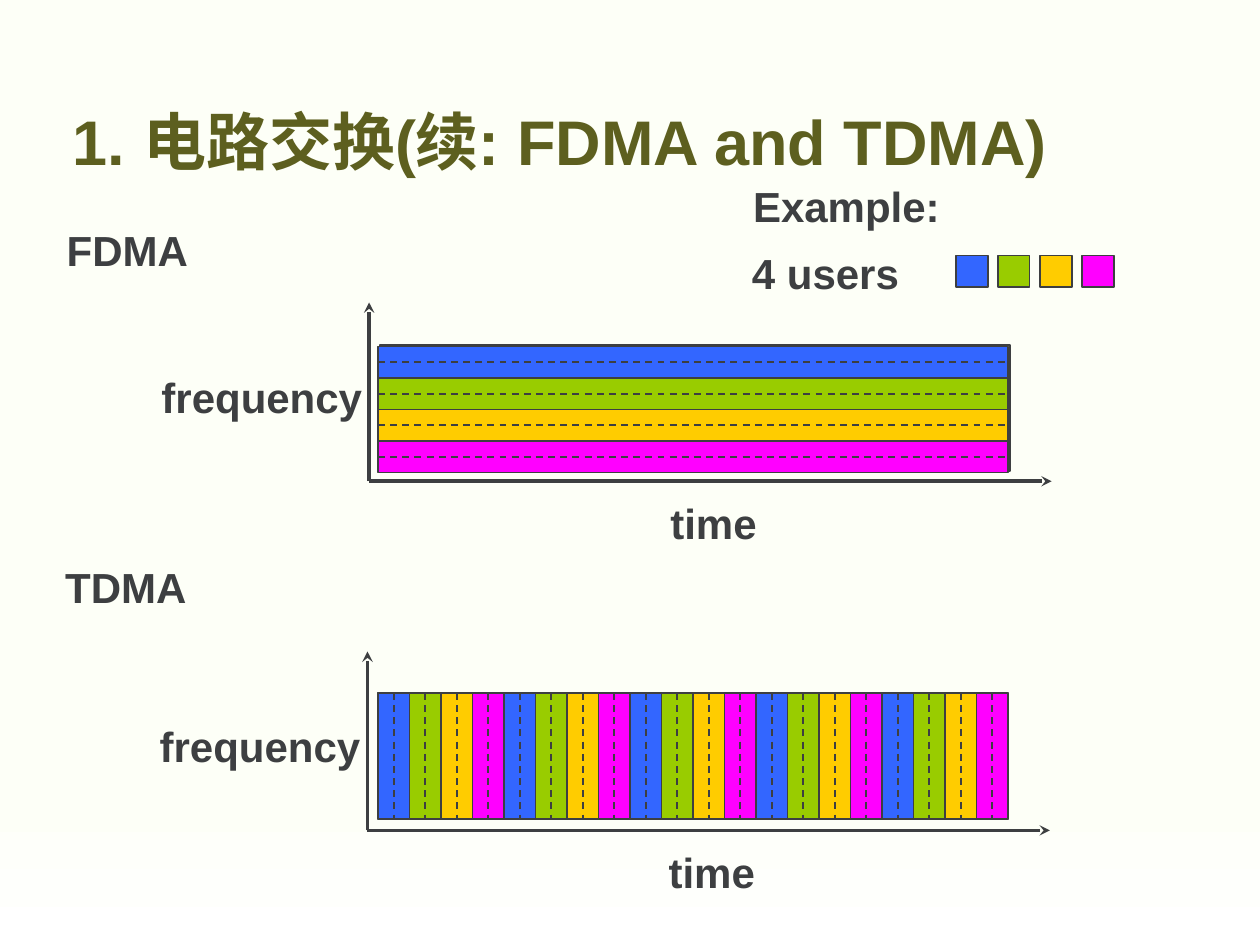
"""Build a slide comparing how FDMA and TDMA share a link among four users."""
from dataclasses import dataclass

from lxml import etree
from pptx import Presentation
from pptx.dml.color import RGBColor
from pptx.enum import dml, shapes, text
from pptx.oxml.ns import qn
from pptx.util import Pt


@dataclass(frozen=True)
class Theme:
    font: str = "Arial"
    title_size: int = 36
    label_size: int = 24
    title: str = "5D5F1F"
    ink: str = "3D3F41"
    frame: str = "BABD3D"
    backdrop: tuple = ((0.84, "FDFFF7"), (1, "FFFFFF"))
    users: tuple = ("3366FF", "99CC00", "FFCC00", "FF00FF")


THEME = Theme()
TITLE = ("1. 电路交换(续: FDMA and TDMA)", 34.5, 57.6, 667, 50.4)
LABELS = [
    ("FDMA", 31, 124.6, 83.5),
    ("frequency", 85.2, 209, 129.6),
    ("time", 376, 280.8, 64),
    ("TDMA", 30.2, 317.5, 83.5),
    ("frequency", 84.2, 408.2, 129.6),
    ("time", 375, 480.2, 64),
    ("Example:", 423.2, 99.4, 121),
    ("4 users", 422.6, 138.2, 98.6),
]
LABEL_HEIGHT = 36
AXES = [(210.9, 275, 601), (210, 474.5, 600)]
AXIS_HEIGHT = 102.2
FRAMES = [(217.2, 197.3), (216, 396)]
PLOT_LEFT, PLOT_WIDTH, PLOT_HEIGHT = 216, 360, 72
FDMA_TOP, TDMA_TOP = 198, 396
SLOT = 18
TDMA_ROUNDS = 5
KEY_LEFT, KEY_TOP, KEY_STEP = 546.4, 146, 24


def colour(value):
    return RGBColor.from_string(value)


def format_text(frame, size, ink):
    for run in frame.paragraphs[0].runs:
        run.font.name = THEME.font
        run.font.size = Pt(size)
        run.font.bold = True
        run.font.color.rgb = colour(ink)


def add_label(slide, words, left, top, width):
    label = slide.shapes.add_textbox(Pt(left), Pt(top), Pt(width), Pt(LABEL_HEIGHT))
    frame = label.text_frame
    frame.text = words
    frame.word_wrap = False
    frame.auto_size = text.MSO_AUTO_SIZE.SHAPE_TO_FIT_TEXT
    format_text(frame, THEME.label_size, THEME.ink)


def add_block(slide, left, top, width, height, fill):
    block = slide.shapes.add_shape(
        shapes.MSO_SHAPE.RECTANGLE, Pt(left), Pt(top), Pt(width), Pt(height))
    block.shadow.inherit = False
    block.fill.solid()
    block.fill.fore_color.rgb = colour(fill)
    block.line.color.rgb = colour(THEME.ink)
    block.line.width = Pt(1)
    return block


def add_line(slide, start, end, width=1, dashed=False, arrow=False):
    line = slide.shapes.add_connector(
        shapes.MSO_CONNECTOR.STRAIGHT, *(Pt(v) for v in (*start, *end)))
    line.line.color.rgb = colour(THEME.ink)
    line.line.width = Pt(width)
    if dashed:
        line.line.dash_style = dml.MSO_LINE.DASH
    properties = line._element.spPr
    if arrow:
        etree.SubElement(properties.find(qn("a:ln")), qn("a:tailEnd"), type="stealth")
    etree.SubElement(properties, qn("a:effectLst"))
    return line


def add_midline(slide, block, begin_side, end_side):
    midline = add_line(slide, (0, 0), (0, 0), dashed=True)
    midline.begin_connect(block, begin_side)
    midline.end_connect(block, end_side)


def paint_background(slide):
    fill = slide.background.fill
    fill.gradient()
    fill.gradient_angle = 270
    for stop, (position, shade) in zip(fill.gradient_stops, THEME.backdrop):
        stop.color.rgb = colour(shade)
        stop.position = position


def add_title(slide):
    words, left, top, width, height = TITLE
    title = slide.shapes.title
    title.left, title.top, title.width, title.height = (
        Pt(v) for v in (left, top, width, height))
    frame = title.text_frame
    frame.text = words
    frame.vertical_anchor = text.MSO_ANCHOR.MIDDLE
    frame.paragraphs[0].alignment = text.PP_ALIGN.LEFT
    frame.paragraphs[0].line_spacing = 0.9
    format_text(frame, THEME.title_size, THEME.title)


def add_plots(slide):
    for left, top in FRAMES:
        add_block(slide, left, top, PLOT_WIDTH, PLOT_HEIGHT, THEME.frame)
    bands = [
        add_block(slide, PLOT_LEFT, FDMA_TOP + i * SLOT, PLOT_WIDTH, SLOT, user)
        for i, user in enumerate(THEME.users)]
    slots = [
        add_block(slide, PLOT_LEFT + i * SLOT, TDMA_TOP, SLOT, PLOT_HEIGHT, user)
        for i, user in enumerate(THEME.users * TDMA_ROUNDS)]
    for i in range(1, len(bands)):
        y = FDMA_TOP + i * SLOT
        add_line(slide, (PLOT_LEFT, y), (PLOT_LEFT + PLOT_WIDTH, y))
    for i in range(1, len(slots)):
        x = PLOT_LEFT + i * SLOT
        add_line(slide, (x, TDMA_TOP), (x, TDMA_TOP + PLOT_HEIGHT))
    for band in bands:
        add_midline(slide, band, 1, 3)
    for slot in slots:
        add_midline(slide, slot, 0, 2)


def main():
    deck = Presentation()
    deck.slide_width, deck.slide_height = Pt(720), Pt(540)
    slide = deck.slides.add_slide(deck.slide_layouts[5])
    paint_background(slide)
    add_title(slide)
    for label in LABELS:
        add_label(slide, *label)
    for x, y, right in AXES:
        add_line(slide, (x, y), (x, y - AXIS_HEIGHT), width=2, arrow=True)
        add_line(slide, (x, y), (right, y), width=2, arrow=True)
    add_plots(slide)
    for i, user in enumerate(THEME.users):
        add_block(slide, KEY_LEFT + i * KEY_STEP, KEY_TOP, SLOT, SLOT, user)
    deck.save("out.pptx")


if __name__ == "__main__":
    main()
